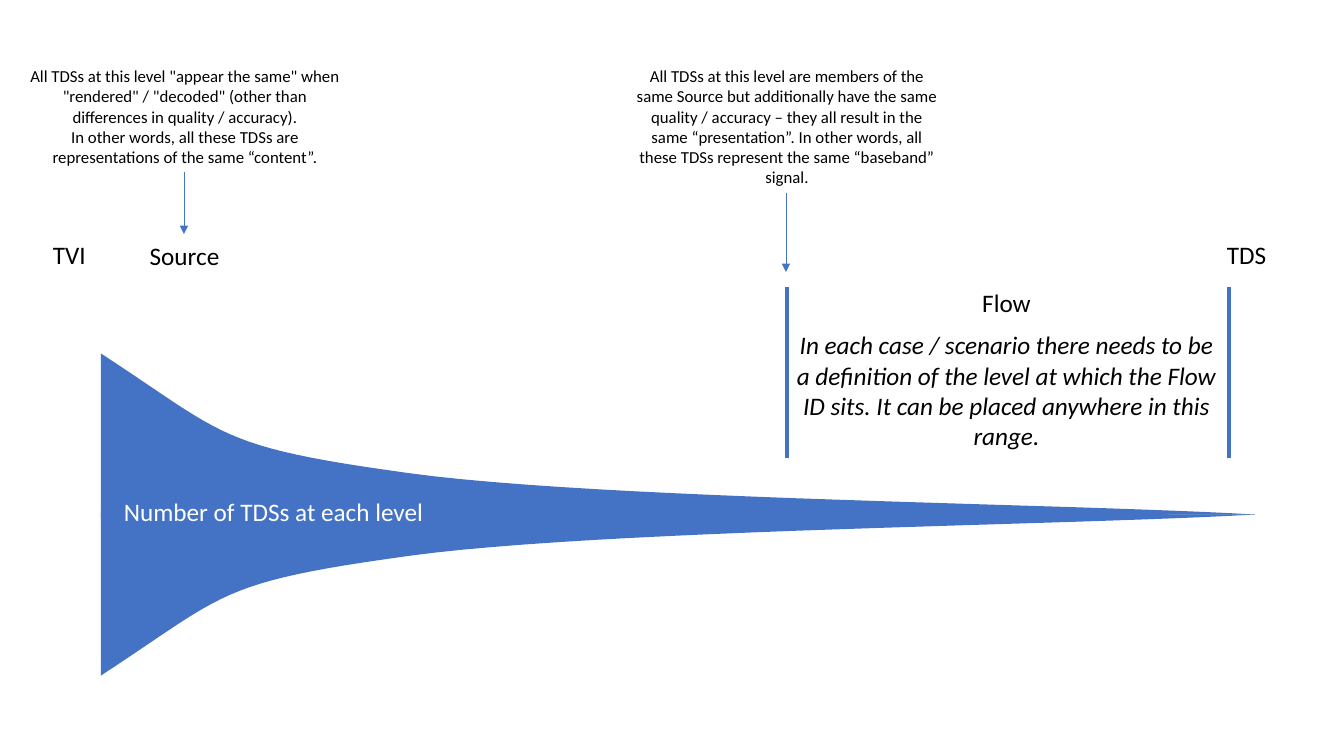
from pptx import Presentation
from pptx.dml.color import RGBColor
from pptx.enum.shapes import MSO_CONNECTOR
from pptx.enum.text import MSO_ANCHOR, MSO_AUTO_SIZE, PP_ALIGN
from pptx.oxml.ns import qn
from pptx.util import Emu, Pt
from lxml.etree import SubElement

BLUE = RGBColor(0x44, 0x72, 0xC4)
BLACK = RGBColor(0, 0, 0)
WHITE = RGBColor(255, 255, 255)
LEFT, CENTER = PP_ALIGN.LEFT, PP_ALIGN.CENTER


def px(length):
    return Emu(round(length * 914400 / 100.8))


def bezier(start, first, second, end, steps=24):
    for step in range(1, steps + 1):
        t = step / steps
        weights = (1 - t) ** 3, 3 * t * (1 - t) ** 2, 3 * t * t * (1 - t), t ** 3
        points = start, first, second, end
        yield tuple(sum(w * p[axis] for w, p in zip(weights, points)) for axis in (0, 1))


class LevelSlide:
    font = "Calibri"

    def __init__(self, slide):
        self.shapes = slide.shapes

    def text(self, box, paragraphs, size=18, color=BLACK, align=LEFT, wrap=True,
             anchor=MSO_ANCHOR.TOP, fit=True, gap=0):
        frame = self.shapes.add_textbox(*map(px, box)).text_frame
        frame.word_wrap = wrap
        frame.vertical_anchor = anchor
        frame.auto_size = MSO_AUTO_SIZE.SHAPE_TO_FIT_TEXT if fit else MSO_AUTO_SIZE.NONE
        for index, (words, italic) in enumerate(paragraphs):
            paragraph = frame.add_paragraph() if index else frame.paragraphs[0]
            paragraph.alignment = align
            paragraph.space_before = Pt(gap if index else 0)
            run = paragraph.add_run()
            run.text = words
            run.font.name = self.font
            run.font.size = Pt(size)
            run.font.italic = italic
            run.font.color.rgb = color

    def label(self, box, words, color=BLACK, align=LEFT):
        self.text(box, [(words, False)], color=color, align=align, wrap=False)

    def vertical(self, x, top, bottom, width, arrow=False):
        line = self.shapes.add_connector(MSO_CONNECTOR.STRAIGHT, *map(px, (x, top, x, bottom)))
        line.line.color.rgb = BLUE
        line.line.width = Pt(width)
        properties = line._element.spPr
        if arrow:
            SubElement(properties.find(qn("a:ln")), qn("a:tailEnd"), type="triangle")
        SubElement(properties, qn("a:effectLst"))

    def outline(self, points):
        start, *rest = [tuple(map(px, point)) for point in points]
        builder = self.shapes.build_freeform(*start, scale=1.0)
        builder.add_line_segments(rest, close=True)
        shape = builder.convert_to_shape()
        shape.shadow.inherit = False
        shape.fill.solid()
        shape.fill.fore_color.rgb = BLUE
        shape.line.fill.background()

    def note(self, box, paragraphs, x, top, bottom):
        self.text(box, [(words, False) for words in paragraphs], size=12, align=CENTER)
        self.vertical(x, top, bottom, 0.5, arrow=True)


presentation = Presentation()
presentation.slide_width, presentation.slide_height = px(1344), px(756)
levels = LevelSlide(presentation.slides.add_slide(presentation.slide_layouts[6]))

levels.label((43, 234, 53, 40), "TVI")
levels.label((1217, 234, 60, 40), "TDS")
levels.label((139, 235, 91, 40), "Source", align=CENTER)

AXIS = 514.5
WIDE, NECK, TIP = (101, 161), (408, 41.5), (1255, 0)
edge = [WIDE,
        *bezier(WIDE, (227, 79), (216, 68), NECK),
        *bezier(NECK, (600, 15), (1069, 11), TIP),
        (101, -3)]
for side in (-1, 1):
    levels.outline([(x, AXIS + side * reach) for x, reach in edge])
levels.label((114, 491, 324, 40), "Number of TDSs at each level", color=WHITE)

RANGE_TOP, RANGE_BOTTOM = 287, 458
levels.text((784, RANGE_TOP, 445, 164), [
    ("Flow", False),
    ("In each case / scenario there needs to be a definition of the level at which "
     "the Flow ID sits. It can be placed anywhere in this range.", True),
], align=CENTER, anchor=MSO_ANCHOR.MIDDLE, fit=False, gap=8.5)
for limit in (787, 1229):
    levels.vertical(limit, RANGE_TOP, RANGE_BOTTOM, 2.25)

levels.note((20, 61, 330, 112), [
    'All TDSs at this level "appear the same" when "rendered" / "decoded" '
    "(other than differences in quality / accuracy).",
    "In other words, all these TDSs are representations of the same “content”.",
], 184, 172, 234)
levels.note((622, 61, 330, 132), [
    "All TDSs at this level are members of the same Source but additionally have the same "
    "quality / accuracy – they all result in the same “presentation”. In other words, all "
    "these TDSs represent the same “baseband” signal.",
], 786, 193, 272)

presentation.save("out.pptx")
